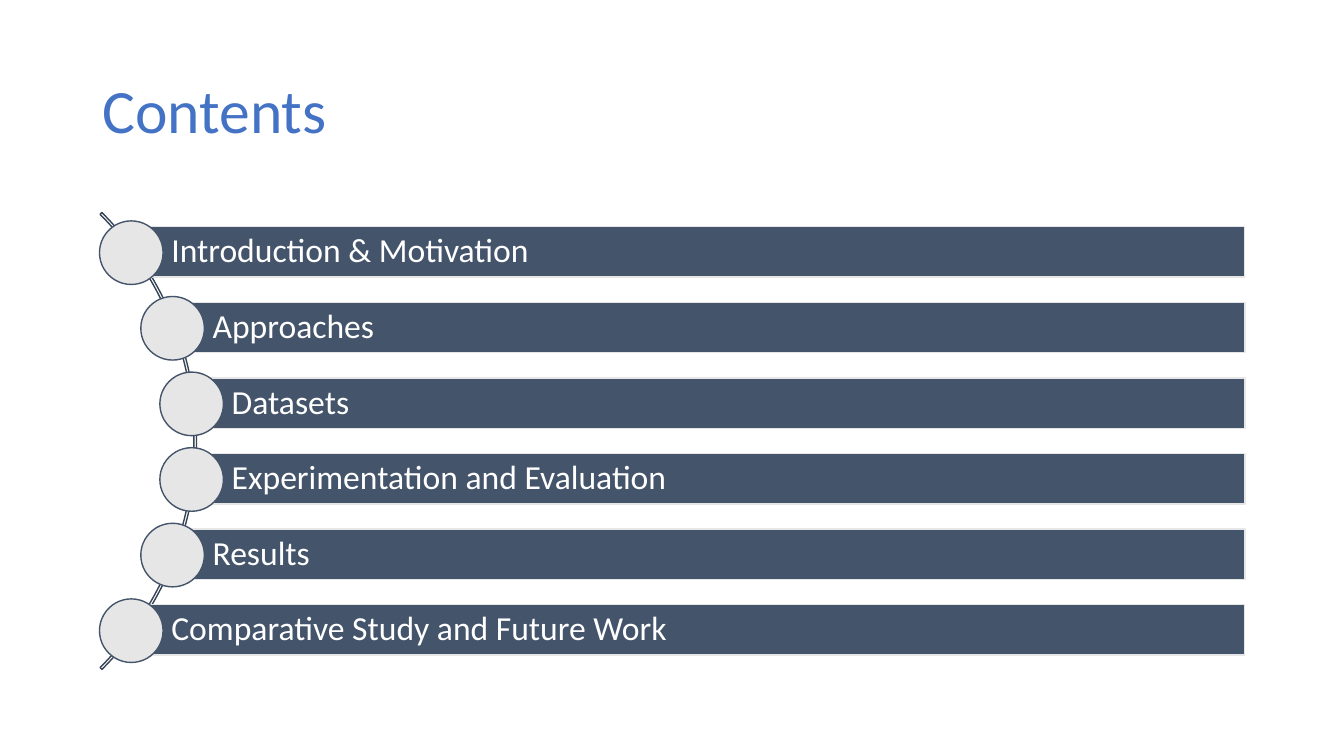
from pptx import Presentation
from pptx.dml.color import RGBColor
from pptx.enum.shapes import MSO_SHAPE
from pptx.enum.text import MSO_ANCHOR, PP_ALIGN
from pptx.util import Pt

BLUE = RGBColor(0x44, 0x72, 0xC4)
SLATE = RGBColor(0x44, 0x54, 0x6A)
DARK_SLATE = RGBColor(0x36, 0x43, 0x55)
LIGHT_GRAY = RGBColor(0xE7, 0xE6, 0xE6)
WHITE = RGBColor(0xFF, 0xFF, 0xFF)
RECTANGLE, OVAL, BLOCK_ARC = MSO_SHAPE.RECTANGLE, MSO_SHAPE.OVAL, MSO_SHAPE.BLOCK_ARC
MIDDLE, LEFT = MSO_ANCHOR.MIDDLE, PP_ALIGN.LEFT

FIRST_CENTER, PITCH = 180, 54
BAR_HEIGHT, BAR_RIGHT = 36, 889.2
CIRCLE_SIZE = 45.4
ARC_SIZE, ARC_LEFT = 461.5, -321.1

# Topic and left edge of its bar, which is also the circle's centre
topics = [
    ("Introduction & Motivation", 93.8),
    ("Approaches", 123.3),
    ("Datasets", 136.9),
    ("Experimentation and Evaluation", 136.9),
    ("Results", 123.3),
    ("Comparative Study and Future Work", 93.8),
]

presentation = Presentation()
presentation.slide_width, presentation.slide_height = Pt(960), Pt(540)
slide = presentation.slides.add_slide(presentation.slide_layouts[6])


def add_shape(kind, left, top, width, height, fill, line):
    shape = slide.shapes.add_shape(kind, Pt(left), Pt(top), Pt(width), Pt(height))
    shape.shadow.inherit = False
    if fill is None:
        shape.fill.background()
    else:
        shape.fill.solid()
        shape.fill.fore_color.rgb = fill
    shape.line.color.rgb = line
    shape.line.width = Pt(1)
    return shape


def write_text(shape, text, size, color):
    frame = shape.text_frame
    frame.word_wrap = True
    frame.vertical_anchor = MIDDLE
    frame.text = text
    paragraph = frame.paragraphs[0]
    paragraph.alignment = LEFT
    paragraph.line_spacing = 0.9
    font = paragraph.runs[0].font
    font.name, font.size = "Calibri", Pt(size)
    font.color.rgb = color


# Title
title = slide.shapes.add_textbox(Pt(66), Pt(28.8), Pt(828), Pt(104.4))
write_text(title, "Contents", 44, BLUE)

# Thin arc behind the circles, centred on the list
list_center = FIRST_CENTER + PITCH * (len(topics) - 1) / 2
arc = add_shape(BLOCK_ARC, ARC_LEFT, list_center - ARC_SIZE / 2,
                ARC_SIZE, ARC_SIZE, None, DARK_SLATE)
for index, value in enumerate((189, 27, 0.004)):
    arc.adjustments[index] = value

# Topic bars with their circles
for index, (topic, left) in enumerate(topics):
    center = FIRST_CENTER + index * PITCH
    bar = add_shape(RECTANGLE, left, center - BAR_HEIGHT / 2,
                    BAR_RIGHT - left, BAR_HEIGHT, SLATE, LIGHT_GRAY)
    write_text(bar, topic, 24, WHITE)
    frame = bar.text_frame
    frame.margin_left = Pt(28.6)
    frame.margin_top = frame.margin_right = frame.margin_bottom = Pt(5)
    add_shape(OVAL, left - CIRCLE_SIZE / 2, center - CIRCLE_SIZE / 2 + 0.5,
              CIRCLE_SIZE, CIRCLE_SIZE, LIGHT_GRAY, SLATE)

presentation.save("out.pptx")
